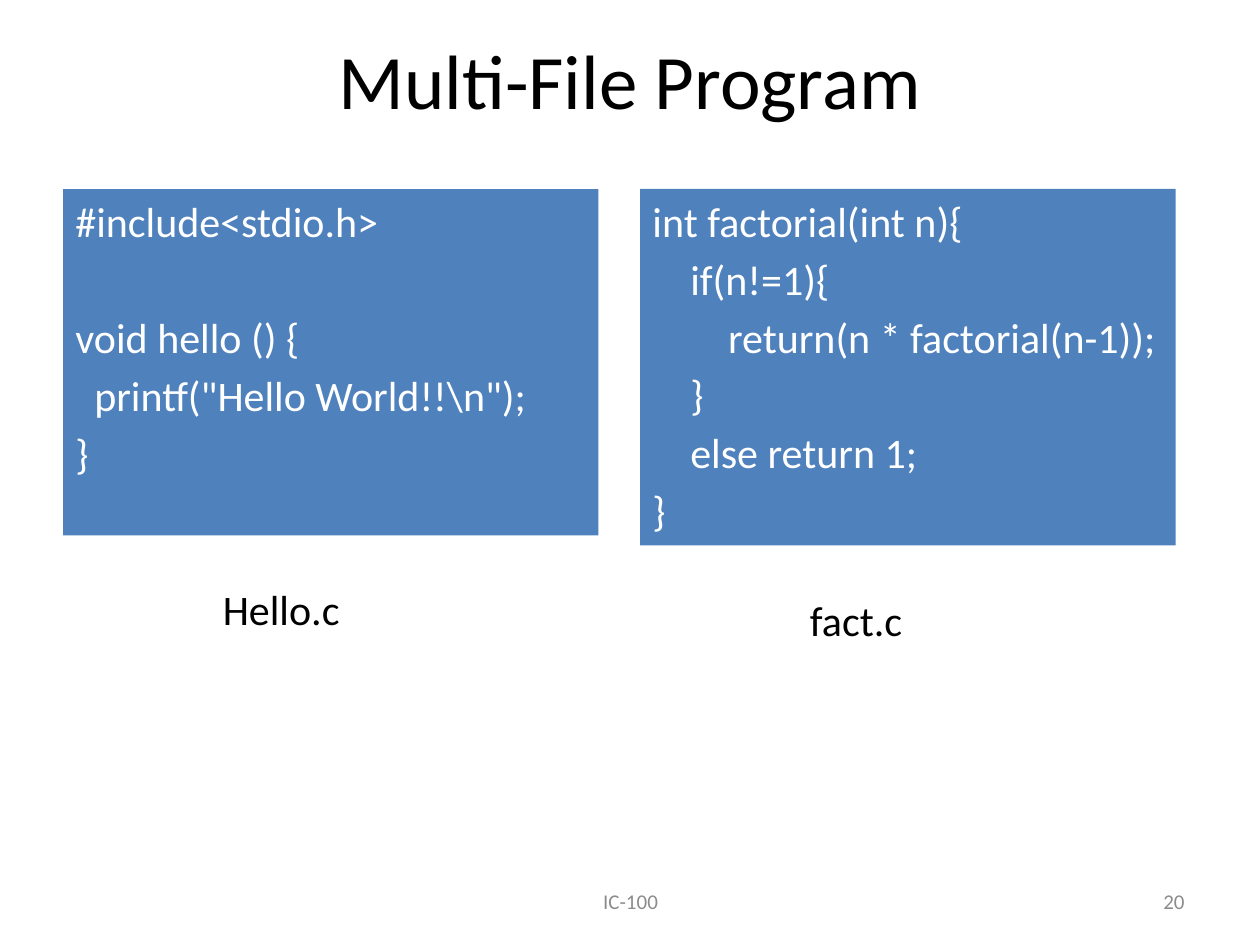
import pptx
import pptx.util
import pptx.dml.color
import pptx.enum.shapes
import pptx.enum.text
from pptx.util import Inches, Pt

COLORS = {"panel": "4F81BD", "code": "FFFFFF", "text": "000000", "footer": "8C8C8C"}
FONT = "Calibri"
ALIGN = pptx.enum.text.PP_ALIGN
ANCHOR = pptx.enum.text.MSO_ANCHOR

CODE_SIZE = 24
LINE_GAP = 4.3       # points before each code line
BLANK_LINE = 33.5    # points taken by one empty code line
COLUMN_WIDTH = 0.075  # inches per column of code indentation

# Code lines: (indent in columns, empty lines before, text)
PANELS = [
    ((0.5, 1.5, 4.25, 2.75), [
        (0, 0, "#include<stdio.h>"),
        (0, 1, "void hello () {"),
        (2, 0, 'printf("Hello World!!\\n");'),
        (0, 0, "}"),
    ]),
    ((5.08, 1.5, 4.25, 2.83), [
        (0, 0, "int factorial(int n){"),
        (4, 0, "if(n!=1){"),
        (8, 0, "return(n * factorial(n-1));"),
        (4, 0, "}"),
        (4, 0, "else return 1;"),
        (0, 0, "}"),
    ]),
]

# Labels: text, box, size, color, alignment, anchor
LABELS = [
    ("Multi-File Program", (0.5, 0, 9, 1.25), 44, "text", ALIGN.CENTER, ANCHOR.MIDDLE),
    ("Hello.c", (1.67, 4.58, 1.75, 0.5), 24, "text", ALIGN.LEFT, ANCHOR.TOP),
    ("fact.c", (6.33, 4.67, 1.75, 0.5), 24, "text", ALIGN.LEFT, ANCHOR.TOP),
    ("20", (7.17, 6.95, 2.33, 0.4), 12, "footer", ALIGN.RIGHT, ANCHOR.MIDDLE),
    ("IC-100", (3.42, 6.95, 3.17, 0.4), 12, "footer", ALIGN.CENTER, ANCHOR.MIDDLE),
]


def rgb(name):
    return pptx.dml.color.RGBColor.from_string(COLORS[name])


def format_paragraph(paragraph, size, color, alignment):
    paragraph.alignment = alignment
    for run in paragraph.runs:
        run.font.name = FONT
        run.font.size = Pt(size)
        run.font.color.rgb = rgb(color)


def add_label(slide, text, box, size, color, alignment, anchor):
    text_frame = slide.shapes.add_textbox(*map(Inches, box)).text_frame
    text_frame.word_wrap = True
    text_frame.vertical_anchor = anchor
    text_frame.text = text
    format_paragraph(text_frame.paragraphs[0], size, color, alignment)


def add_code_panel(slide, box, lines):
    shape = slide.shapes.add_shape(
        pptx.enum.shapes.MSO_SHAPE.RECTANGLE, *map(Inches, box))
    shape.shadow.inherit = False
    shape.fill.solid()
    shape.fill.fore_color.rgb = rgb("panel")
    shape.line.fill.background()

    text_frame = shape.text_frame
    text_frame.word_wrap = True
    text_frame.vertical_anchor = ANCHOR.TOP
    text_frame.text = "\n".join(text for _, _, text in lines)
    for paragraph, (columns, empty_lines, _) in zip(text_frame.paragraphs, lines):
        format_paragraph(paragraph, CODE_SIZE, "code", ALIGN.LEFT)
        paragraph.space_before = Pt(LINE_GAP + empty_lines * BLANK_LINE)
        properties = paragraph._p.get_or_add_pPr()
        properties.set("marL", str(Inches(columns * COLUMN_WIDTH)))
        properties.set("indent", "0")


def main():
    presentation = pptx.Presentation()
    presentation.slide_width = Inches(10)
    presentation.slide_height = Inches(7.5)
    slide = presentation.slides.add_slide(presentation.slide_layouts[6])
    for box, lines in PANELS:
        add_code_panel(slide, box, lines)
    for label in LABELS:
        add_label(slide, *label)
    presentation.save("out.pptx")


if __name__ == "__main__":
    main()
